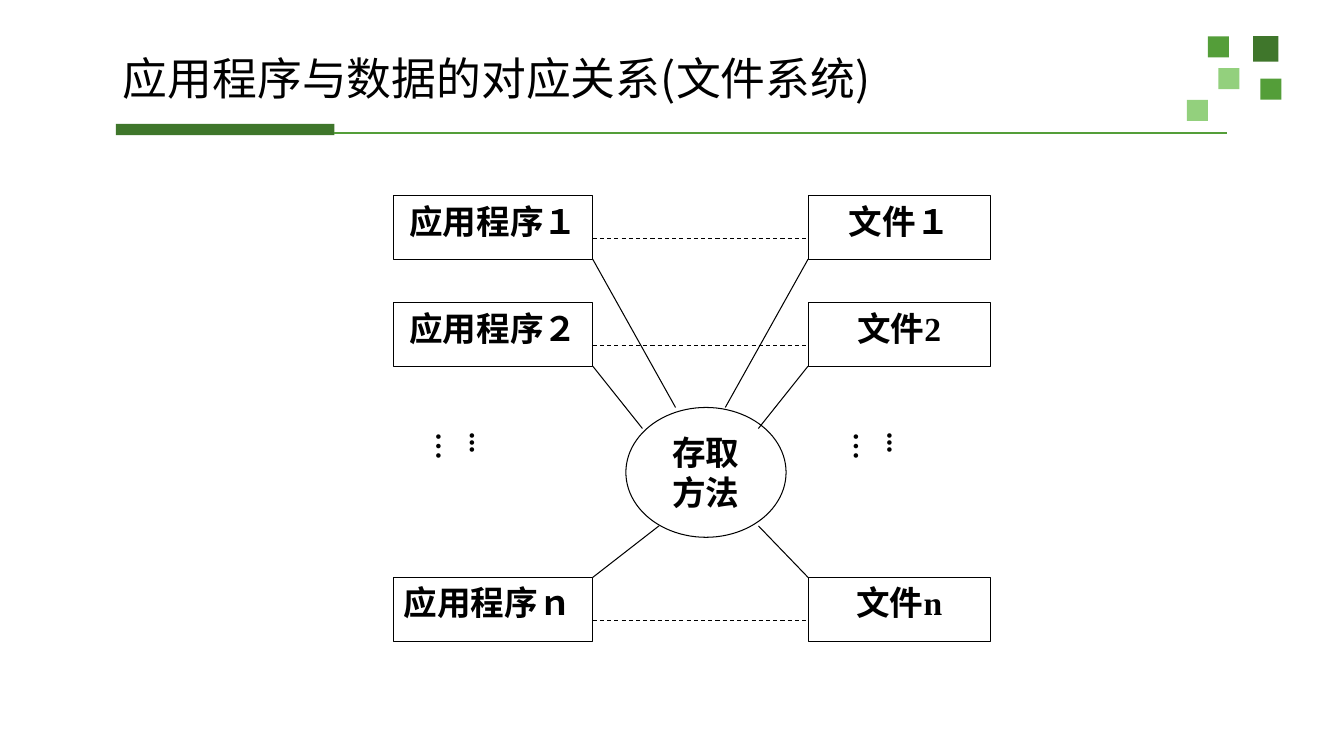
from dataclasses import dataclass

from lxml.etree import SubElement
from pptx import Presentation
from pptx.dml.color import RGBColor
from pptx.enum.dml import MSO_LINE_DASH_STYLE as Dash
from pptx.enum.shapes import MSO_CONNECTOR_TYPE as Link, MSO_SHAPE as Preset
from pptx.enum.text import MSO_ANCHOR as Anchor, PP_ALIGN as Align
from pptx.oxml.ns import qn
from pptx.util import Inches, Pt

BLACK, WHITE = "000000", "FFFFFF"
DARK, MID, LIGHT = "3F762B", "549E39", "93D07D"
SANS, SERIF = "Noto Sans CJK SC", "Times New Roman"
INSETS = {"margin_left": 0.1, "margin_right": 0.1, "margin_top": 0.05, "margin_bottom": 0.05}
TITLE_INSETS = {"margin_left": 0.08, "margin_right": 0.08, "margin_top": 0.04, "margin_bottom": 0.04}
DOT_INSETS = {"margin_left": 0.05, "margin_right": 0.05, "margin_top": 0.1, "margin_bottom": 0.1}


@dataclass
class Region:
    """A box in inches divided into columns and rows."""
    left: float
    top: float
    width: float
    height: float
    columns: int = 1
    rows: int = 1

    def point(self, column, row):
        """Return the slide position of a grid point."""
        return (Inches(self.left + column * self.width / self.columns),
                Inches(self.top + row * self.height / self.rows))

    def place(self, column, row, across, down):
        """Return the left, top, width and height of a grid area."""
        return (*self.point(column, row),
                Inches(across * self.width / self.columns),
                Inches(down * self.height / self.rows))


def paint(color_format, color):
    """Set a colour from a hex string."""
    color_format.rgb = RGBColor.from_string(color)


def write(shape, text, size, face=SERIF, bold=True, align=Align.CENTER,
          anchor=Anchor.TOP, insets=INSETS):
    """Fill a shape with one formatted paragraph."""
    frame = shape.text_frame
    frame.word_wrap, frame.vertical_anchor = True, anchor
    for side, inset in insets.items():
        setattr(frame, side, Inches(inset))
    paragraph = frame.paragraphs[0]
    paragraph.alignment = align
    run = paragraph.add_run()
    run.text = text
    for name, value in {"size": Pt(size), "bold": bold, "name": face}.items():
        setattr(run.font, name, value)
    paint(run.font.color, BLACK)
    SubElement(run.font._element, qn("a:ea"), typeface=SANS)
    return paragraph


def add_block(slide, area, fill, preset=Preset.RECTANGLE, outline=None):
    """Draw a flat filled shape with an optional thin outline."""
    block = slide.shapes.add_shape(preset, *area)
    block.shadow.inherit = False
    block.fill.solid()
    paint(block.fill.fore_color, fill)
    if outline:
        paint(block.line.color, outline)
        block.line.width = Pt(0.75)
    else:
        block.line.fill.background()
    return block


def add_link(slide, start, end, color=BLACK, width=0.75, dash=None):
    """Draw a straight line between two points."""
    link = slide.shapes.add_connector(Link.STRAIGHT, *start, *end)
    SubElement(link.element.spPr, qn("a:effectLst"))
    paint(link.line.color, color)
    link.line.width = Pt(width)
    if dash:
        link.line.dash_style = dash


def add_corner_squares(slide, region):
    """Scatter the green squares in the corner."""
    squares = [(6.3, 0, 2.4, DARK), (2, 0, 2, MID), (7, 4, 2, MID),
               (3, 3, 2, LIGHT), (0, 6, 2, LIGHT)]
    for column, row, side, color in squares:
        add_block(slide, region.place(column, row, side, side), color)


def add_underline(slide, region):
    """Draw the thick bar and the thin rule under the title."""
    bar_end = 19.67
    add_block(slide, region.place(0, 0, bar_end, 1), DARK)
    add_link(slide, region.point(bar_end, 0.82), region.point(region.columns, 0.82), MID, 2)


def add_title(slide, region, text):
    """Write the slide title."""
    title = slide.shapes.add_textbox(*region.place(0, 0, 1, 1))
    paragraph = write(title, text, 32, SANS, False, Align.LEFT, Anchor.MIDDLE, TITLE_INSETS)
    paragraph.line_spacing = 0.9


def add_access_diagram(slide, region):
    """Draw programs and files joined through the access method."""
    program_end, file_start, file_span = 12, 25, 11
    pairs = [
        (0, "应用程序１", "文件１", Align.CENTER, 1, 3.33, 17, 20),
        (1.68, "应用程序２", "文件2", Align.CENTER, 1, 3.66, 15, 22),
        (6, "应用程序ｎ", "文件n", Align.JUSTIFY, 0, 5.19, 16, 22),
    ]
    for row, program, file, program_align, corner, meeting, program_tip, file_tip in pairs:
        program_box = add_block(slide, region.place(0, row, program_end, 1), WHITE, outline=BLACK)
        write(program_box, program, 24, align=program_align)
        file_box = add_block(slide, region.place(file_start, row, file_span, 1), WHITE, outline=BLACK)
        write(file_box, file, 24)
        add_link(slide, region.point(program_end, row + 0.68),
                 region.point(file_start, row + 0.68), dash=Dash.DASH)

    method = add_block(slide, region.place(14, 3.33, 9.67, 2.04), WHITE, Preset.OVAL, BLACK)
    write(method, "存取方法", 24)

    for row, *_, corner, meeting, program_tip, file_tip in pairs:
        for side, tip in ((program_end, program_tip), (file_start, file_tip)):
            add_link(slide, region.point(side, row + corner), region.point(tip, meeting))

    for column in (2, 27.2):
        dots = slide.shapes.add_textbox(*region.place(column, 3.56, 4.6, 1.06))
        write(dots, "...…", 20, align=Align.LEFT, insets=DOT_INSETS)
        dots.element.txBody.bodyPr.set("vert", "eaVert")


def main():
    """Build and save the slide."""
    deck = Presentation()
    deck.slide_width, deck.slide_height = Inches(13.34), Inches(7.5)
    slide = deck.slides.add_slide(deck.slide_layouts[6])
    add_corner_squares(slide, Region(11.78, 0.36, 0.94, 0.84, 9, 8))
    add_underline(slide, Region(1.15, 1.23, 11.03, 0.11, 100))
    add_title(slide, Region(1.14, 0.35, 11.28, 0.91), "应用程序与数据的对应关系(文件系统)")
    add_access_diagram(slide, Region(3.91, 1.94, 5.92, 4.42, 36, 7))
    deck.save("out.pptx")


if __name__ == "__main__":
    main()
